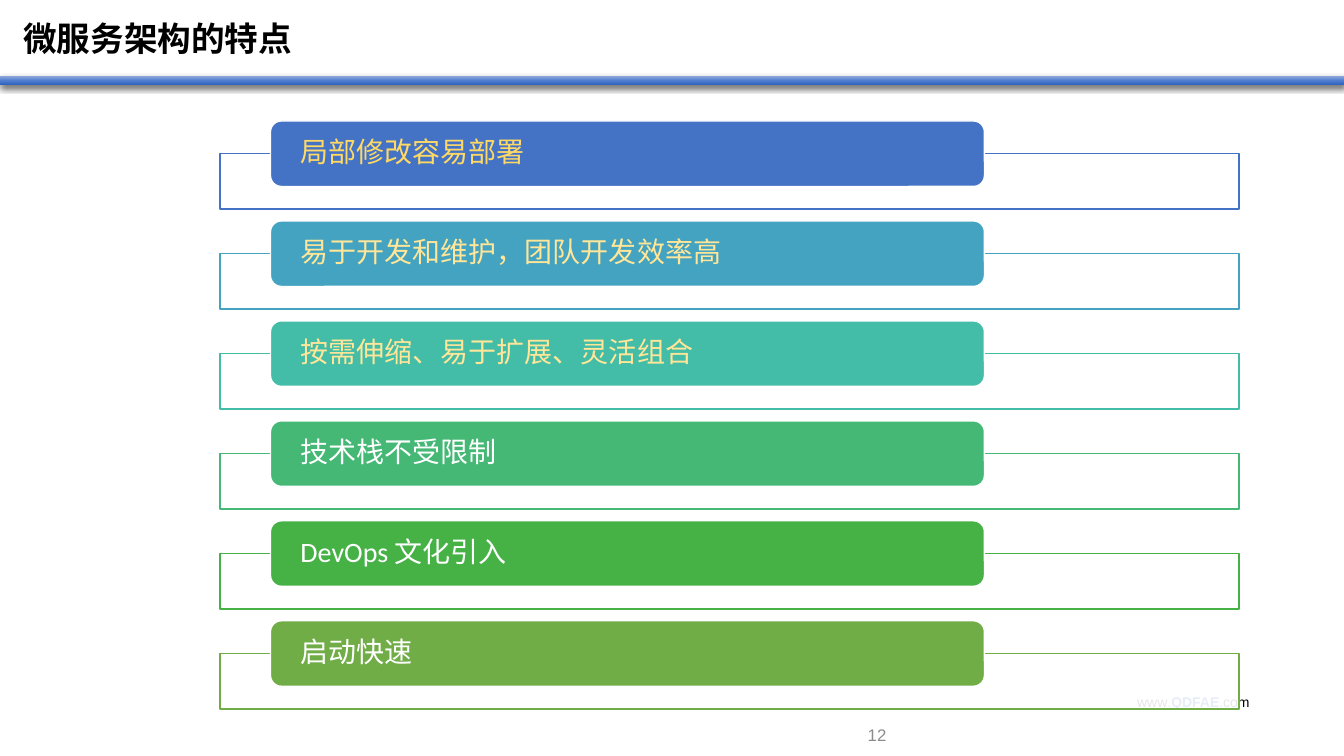
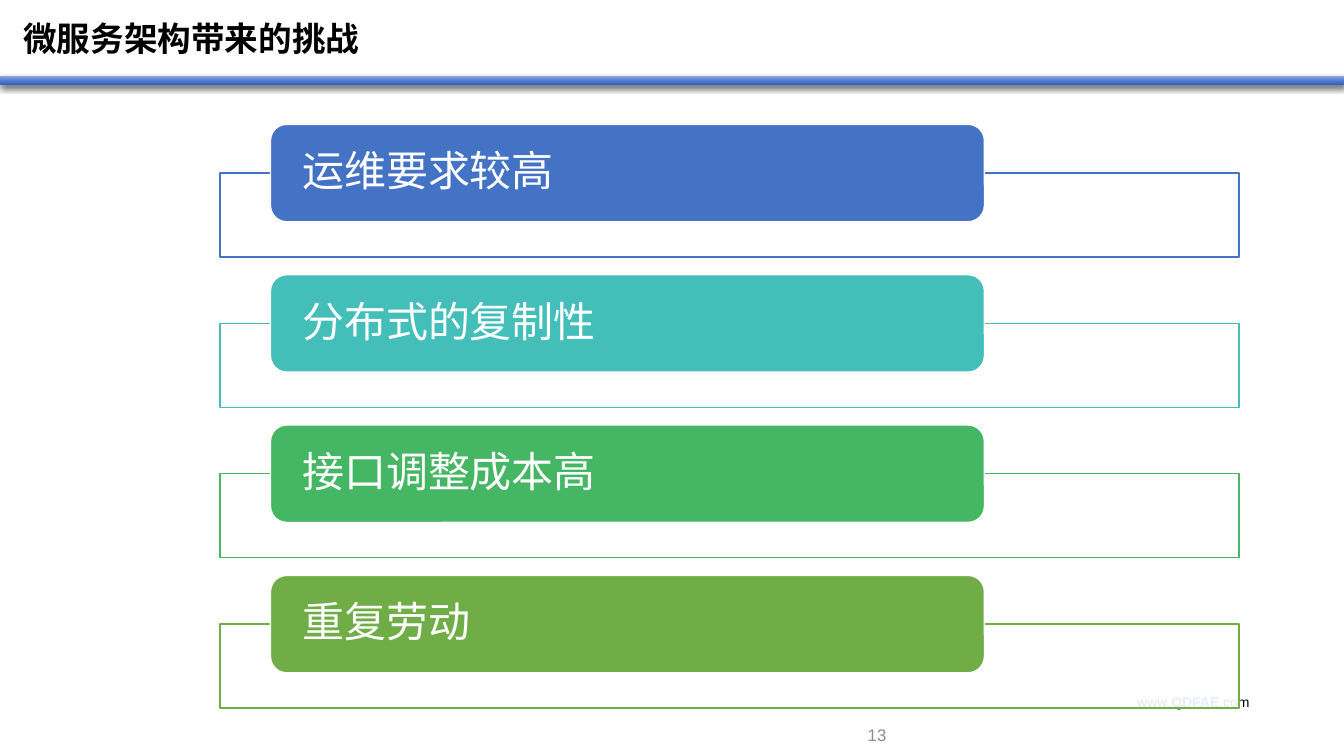
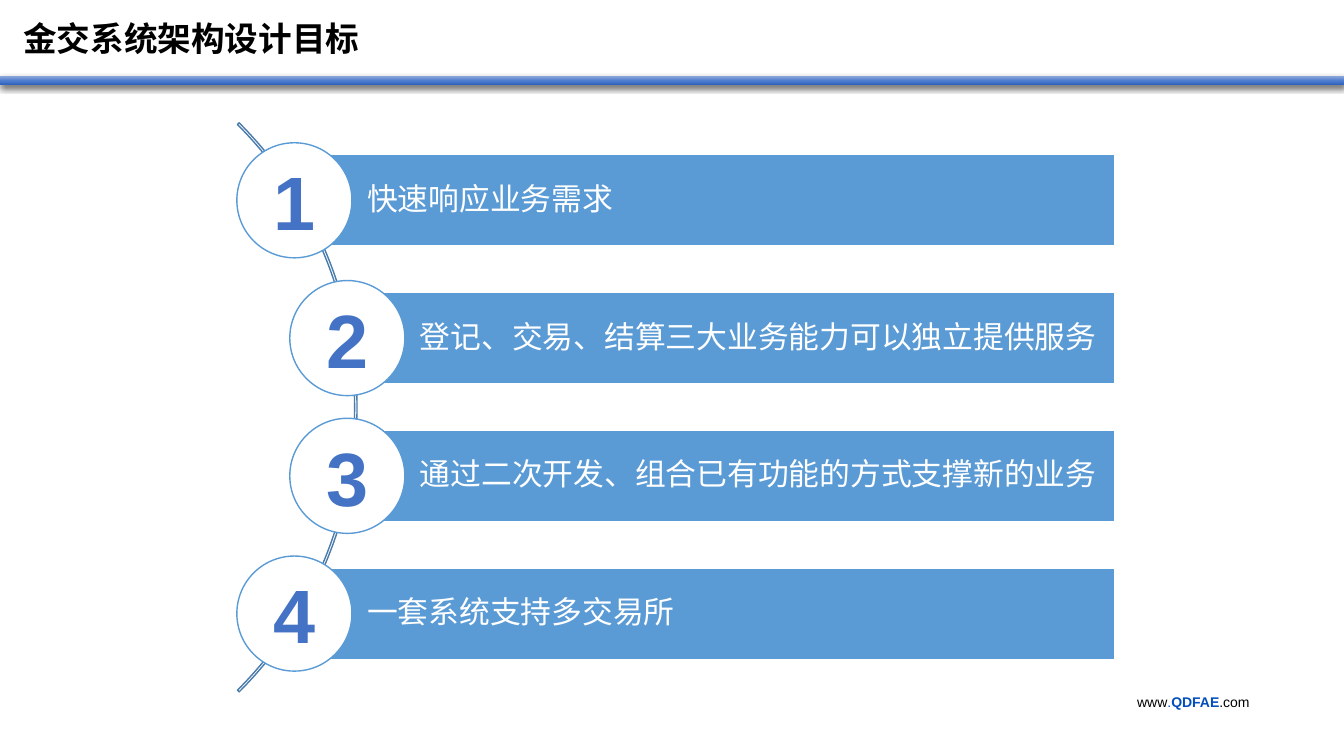
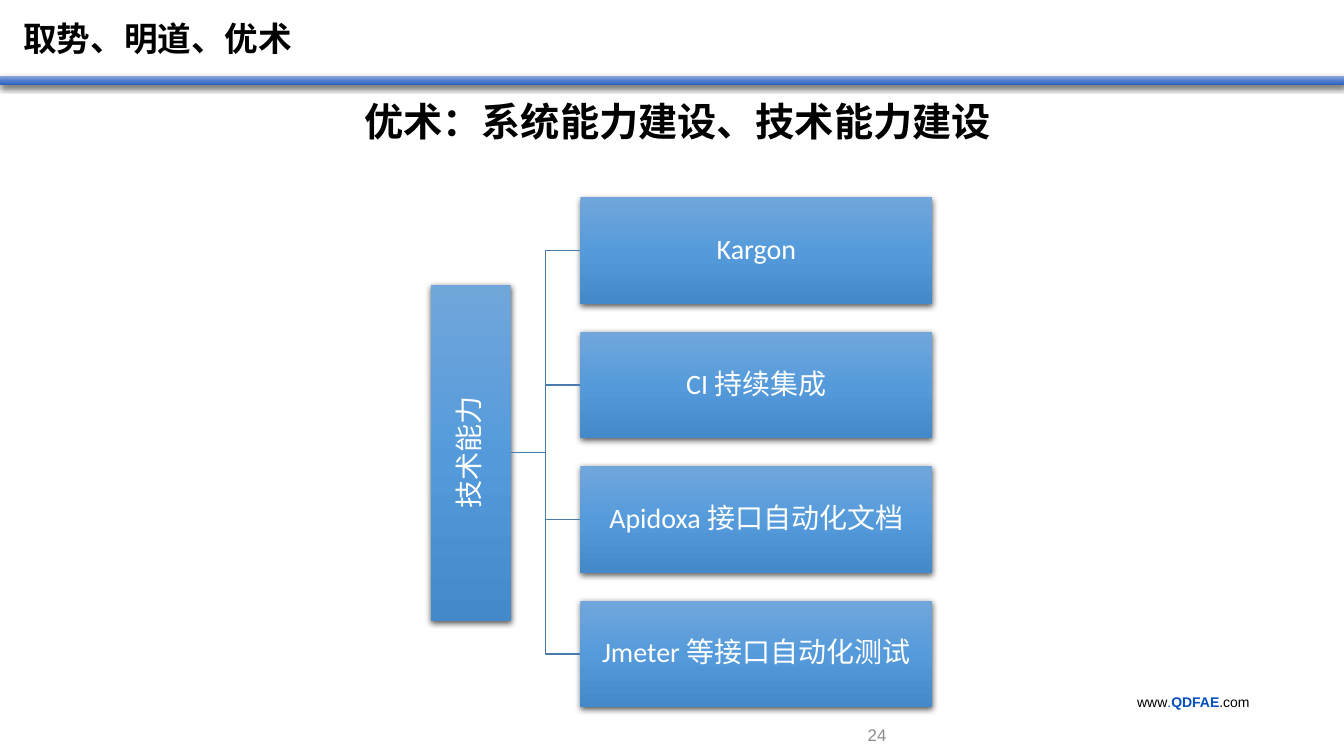
from pptx import Presentation
from pptx import util as u
from pptx.dml import color
from pptx.enum import shapes, text
from pptx.oxml import parse_xml
from pptx.oxml.ns import nsdecls, qn

PX = 7620  # EMU per px, 120 px to the inch
rgb = color.RGBColor.from_string

WHITE, BLACK, GREY, LINK = "FFFFFF", "000000", "8C8C8C", "034EBD"
INDIGO, SKY, STEEL = "4472C4", "5B9BD5", "497CAB"
GOLD, CREAM = "FFD966", "FFE699"
BAND_STOPS = ["8BA5D9", "517ECF", "2F62BF"]
BOX_STOPS = ["71A6DB", "559BDB", "448ACA"]
LEFT, CENTER, RIGHT = text.PP_ALIGN.LEFT, text.PP_ALIGN.CENTER, text.PP_ALIGN.RIGHT
TOP, MIDDLE = text.MSO_ANCHOR.TOP, text.MSO_ANCHOR.MIDDLE
KIND = shapes.MSO_SHAPE


def draw(page, kind, area, fill=None, line=None, opacity=100):
    """Add a preset shape; a list of fill colours makes a shadowed vertical gradient."""
    shape = page.shapes.add_shape(kind, *[value * PX for value in area])
    shape.shadow.inherit = False
    props = shape.element.spPr
    if isinstance(fill, list):
        shape.fill.gradient()
        shape.fill.gradient_angle = 270
        stops = props.find(".//" + qn("a:gsLst"))
        for stop in list(stops):
            stops.remove(stop)
        for index, shade in enumerate(fill):
            stops.append(parse_xml(
                f'<a:gs {nsdecls("a")} pos="{index * 50000}"><a:srgbClr val="{shade}"/></a:gs>'))
        props.find(qn("a:effectLst")).append(parse_xml(
            f'<a:outerShdw {nsdecls("a")} blurRad="57150" dist="19050" dir="5400000" '
            'algn="ctr" rotWithShape="0"><a:srgbClr val="000000">'
            '<a:alpha val="63000"/></a:srgbClr></a:outerShdw>'))
    elif fill:
        shape.fill.solid()
        shape.fill.fore_color.rgb = rgb(fill)
        if opacity < 100:
            props.find(".//" + qn("a:srgbClr")).append(
                parse_xml(f'<a:alpha {nsdecls("a")} val="{opacity * 1000}"/>'))
    else:
        shape.fill.background()
    if line:
        shape.line.color.rgb = rgb(line)
        shape.line.width = u.Pt(1)
    else:
        shape.line.fill.background()
    return shape


def write(box, spans, size, shade, align=LEFT, anchor=TOP, margins=(12, 6, 12, 6),
          face="Arial", bold=False, spacing=1.0):
    """Fill a box with one paragraph; spans are (words, font overrides) pairs or a string."""
    frame = box.text_frame
    sides = ["margin_left", "margin_top", "margin_right", "margin_bottom"]
    layout = {"word_wrap": True, "vertical_anchor": anchor}
    layout.update({side: value * PX for side, value in zip(sides, margins)})
    for name, value in layout.items():
        setattr(frame, name, value)
    para = frame.paragraphs[0]
    para.alignment, para.line_spacing = align, spacing
    for words, changes in [(spans, {})] if isinstance(spans, str) else spans:
        span = para.add_run()
        span.text = words
        look = {"name": face, "size": u.Pt(size), "bold": bold, "shade": shade, **changes}
        for name, value in look.items():
            if name == "shade":
                span.font.color.rgb = rgb(value)
            else:
                setattr(span.font, name, value)


# Deck and pages with titles and page numbers
deck = Presentation()
deck.slide_width, deck.slide_height = 1600 * PX, 900 * PX
blank = deck.slide_layouts[6]
for holder in list(blank.placeholders):
    holder.element.getparent().remove(holder.element)

pages = [deck.slides.add_slide(blank) for _ in range(4)]
features, challenges, goals, skills = pages

# Band and web address, shared through the layout
band = draw(features, KIND.RECTANGLE, (0, 91, 1600, 10), BAND_STOPS)
address = features.shapes.add_textbox(1342 * PX, 820 * PX, 200 * PX, 32 * PX)
write(address, [("www", {}), (".", {"shade": LINK}), ("QDFAE", {"shade": LINK, "bold": True}),
                (".com", {})], 10, BLACK)
for shared in (band, address):
    blank.shapes.element.append(shared.element)

headings = [("微服务架构的特点", "12"), ("微服务架构带来的挑战", "13"),
            ("金交系统架构设计目标", None), ("取势、明道、优术", "24")]
for page, (heading, number) in zip(pages, headings):
    title = page.shapes.add_textbox(16 * PX, 16 * PX, 1200 * PX, 60 * PX)
    write(title, heading, 24, BLACK, bold=True)
    if number:
        footer = page.shapes.add_textbox(694 * PX, 850 * PX, 373 * PX, 50 * PX)
        write(footer, number, 12, GREY, align=RIGHT, anchor=MIDDLE)

# Features and challenges: a coloured pill over an outlined frame per row
feature_rows = [("局部修改容易部署", INDIGO, GOLD),
                ("易于开发和维护，团队开发效率高", "44A3C0", CREAM),
                ("按需伸缩、易于扩展、灵活组合", "43BDA7", CREAM),
                ("技术栈不受限制", "44B874", WHITE),
                ("DevOps 文化引入", "46B246", WHITE),
                ("启动快速", "70AD47", WHITE)]
challenge_rows = [("运维要求较高", INDIGO, WHITE), ("分布式的复制性", "43BEB9", WHITE),
                  ("接口调整成本高", "45B664", WHITE), ("重复劳动", "70AD47", WHITE)]
# page, rows, text size, first pill top, pill height, frame offset, frame height, step
lists = [(features, feature_rows, 20, 144, 78, 39, 66, 119),
         (challenges, challenge_rows, 30, 148, 116, 58, 100, 179)]
for page, rows, size, top, pill_height, offset, frame_height, step in lists:
    for index, (words, tint, ink) in enumerate(rows):
        y = top + index * step
        draw(page, KIND.RECTANGLE, (262, y + offset, 1213, frame_height), WHITE, tint, 90)
        pill = draw(page, KIND.ROUNDED_RECTANGLE, (322, y, 850, pill_height), tint, WHITE)
        write(pill, words, size, ink, anchor=MIDDLE, margins=(32, 0, 32, 0),
              face="Calibri", spacing=0.9)

# Goals: numbered circles along an arc, each with a bar
arc = draw(goals, KIND.BLOCK_ARC, (-533, 6, 958, 958), line=STEEL)
for index, value in enumerate([189, 27, 0.003]):
    arc.adjustments[index] = value
goal_rows = [(351, "快速响应业务需求"),
             (414, "登记、交易、结算三大业务能力可以独立提供服务"),
             (414, "通过二次开发、组合已有功能的方式支撑新的业务"),
             (351, "一套系统支持多交易所")]
for index, (left, words) in enumerate(goal_rows):
    y = 184 + index * 164
    bar = draw(goals, KIND.RECTANGLE, (left, y, 1327 - left, 109), SKY, WHITE)
    write(bar, words, 22, WHITE, anchor=MIDDLE, margins=(86, 7, 7, 7),
          face="Calibri", spacing=0.9)
    circle = draw(goals, KIND.OVAL, (left - 69, y - 14, 137, 137), WHITE, SKY)
    write(circle, str(index + 1), 54, INDIGO, align=CENTER, anchor=MIDDLE,
          margins=(0, 0, 0, 0), bold=True)

# Skills: a tree with one upright root and four leaves
subtitle = skills.shapes.add_textbox(422 * PX, 110 * PX, 800 * PX, 68 * PX)
write(subtitle, "优术：系统能力建设、技术能力建设", 28, BLACK, bold=True)
node_text = {"size": 20, "shade": WHITE, "align": CENTER, "anchor": MIDDLE,
             "margins": (1, 1, 1, 1), "face": "Calibri", "spacing": 0.9}
root = draw(skills, KIND.RECTANGLE, (513, 339, 95, 400), BOX_STOPS)
write(root, "技术能力", **node_text)
root.element.find(".//" + qn("a:bodyPr")).set("vert", "vert270")
leaves = ["Kargon", "CI 持续集成", "Apidoxa 接口自动化文档", "Jmeter 等接口自动化测试"]
for index, words in enumerate(leaves):
    leaf = draw(skills, KIND.RECTANGLE, (691, 235 + index * 160, 419, 127), BOX_STOPS)
    write(leaf, words, **node_text)
    branch = skills.shapes.add_connector(shapes.MSO_CONNECTOR.ELBOW, 0, 0, 0, 0)
    branch.begin_connect(root, 3)
    branch.end_connect(leaf, 1)
    branch.line.color.rgb = rgb(STEEL)
    branch.line.width = u.Pt(1)
    branch.element.spPr.append(parse_xml(f'<a:effectLst {nsdecls("a")}/>'))

deck.save("out.pptx")
